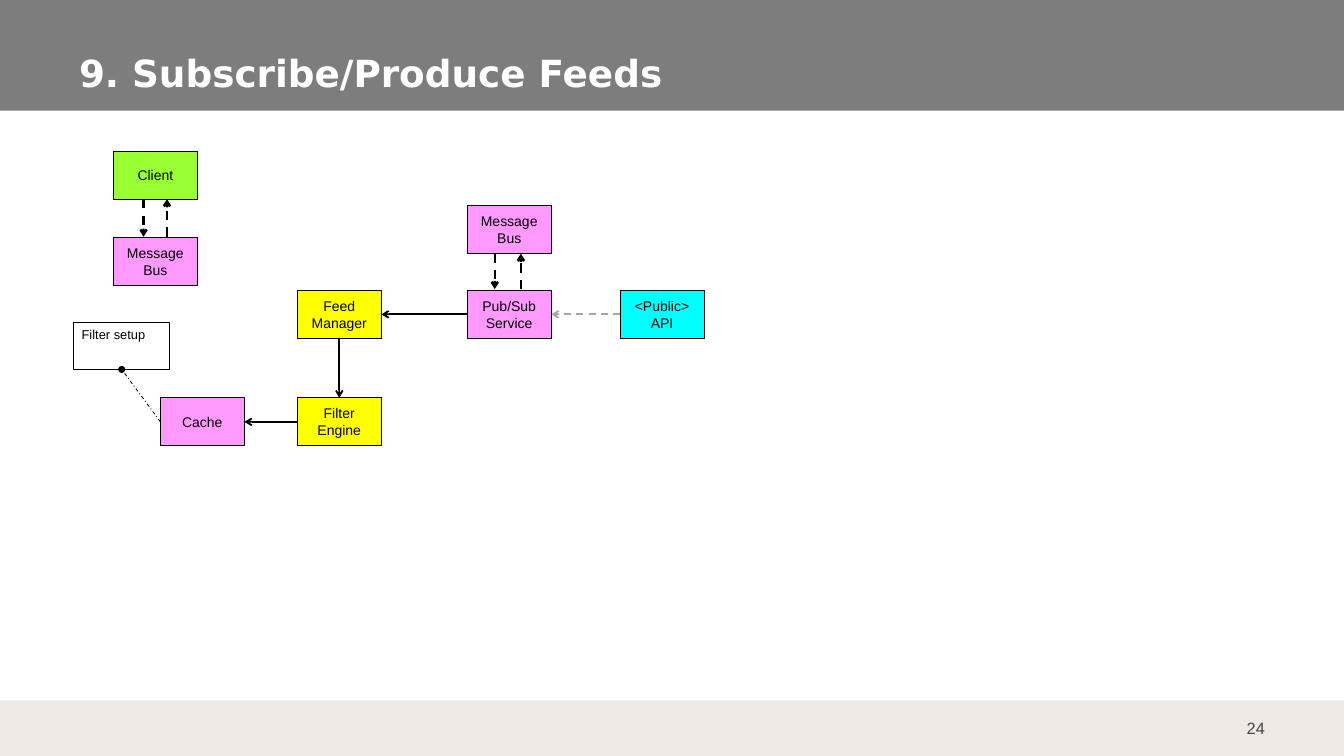
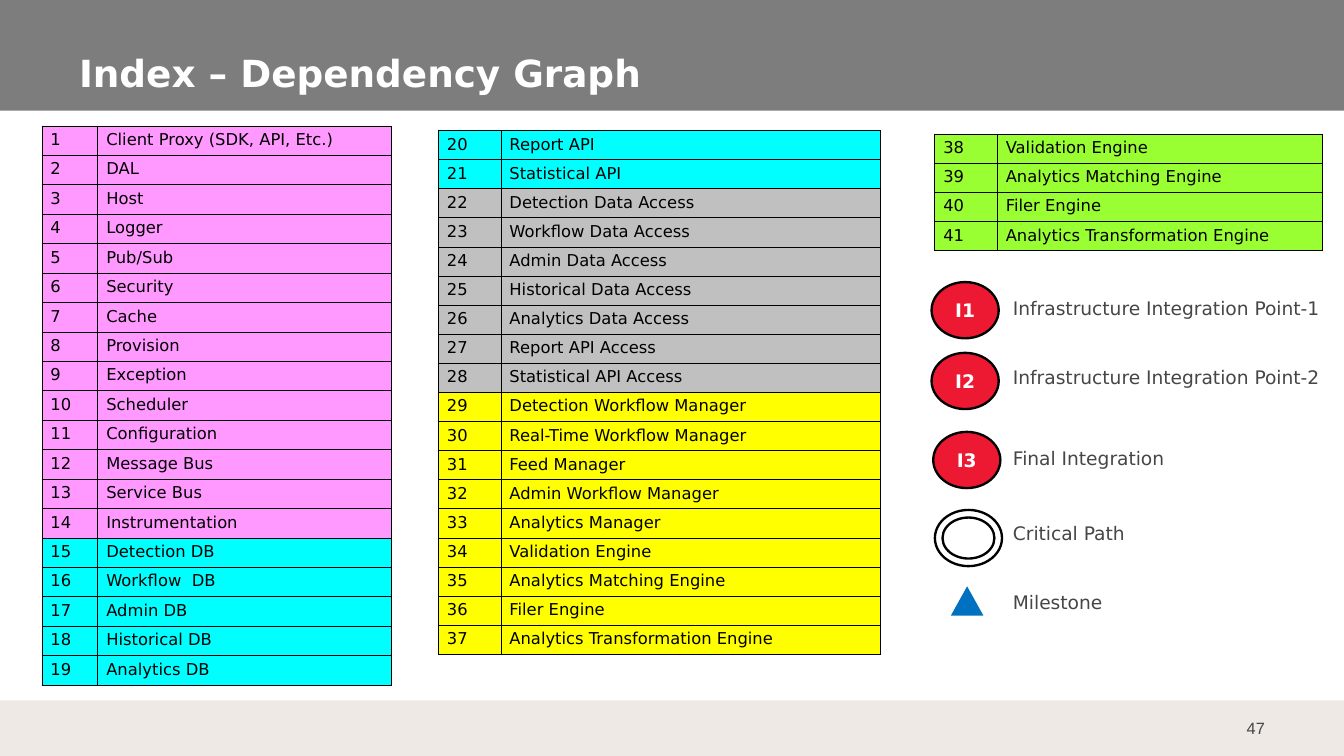
from itertools import count

from lxml import etree
from pptx import Presentation
from pptx.dml.color import RGBColor
from pptx.enum import dml, shapes, text
from pptx.oxml import ns
from pptx.util import Cm, Pt

BLACK = RGBColor(0x00, 0x00, 0x00)
WHITE = RGBColor(0xFF, 0xFF, 0xFF)
BAND_GREY = RGBColor(0x7D, 0x7D, 0x7D)
FOOTER_BEIGE = RGBColor(0xEF, 0xE9, 0xE5)
TEXT_GREY = RGBColor(0x46, 0x46, 0x46)
LINK_GREY = RGBColor(0xA6, 0xA6, 0xA6)
SILVER = RGBColor(0xC0, 0xC0, 0xC0)
YELLOW = RGBColor(0xFF, 0xFF, 0x00)
PINK = RGBColor(0xFF, 0x99, 0xFF)
CYAN = RGBColor(0x00, 0xFF, 0xFF)
GREEN = RGBColor(0x99, 0xFF, 0x33)
RED = RGBColor(0xED, 0x19, 0x33)
BLUE = RGBColor(0x00, 0x70, 0xC0)

SANS = "DejaVu Sans"
ARIAL = "Arial"
LEFT, CENTER, RIGHT = text.PP_ALIGN.LEFT, text.PP_ALIGN.CENTER, text.PP_ALIGN.RIGHT
TOP, MIDDLE, BOTTOM = text.MSO_ANCHOR.TOP, text.MSO_ANCHOR.MIDDLE, text.MSO_ANCHOR.BOTTOM
RECT = shapes.MSO_SHAPE.RECTANGLE
OVAL = shapes.MSO_SHAPE.OVAL
TRIANGLE = shapes.MSO_SHAPE.ISOSCELES_TRIANGLE
DASH, DASH_DOT = dml.MSO_LINE.DASH, dml.MSO_LINE.DASH_DOT


def write(frame, lines, size, colour, font=SANS, bold=False, align=LEFT, anchor=TOP, wrap=True):
    """Fill a text frame with one paragraph per line."""
    frame.word_wrap = wrap
    frame.vertical_anchor = anchor
    for number, line in enumerate(lines.split("\n")):
        paragraph = frame.add_paragraph() if number else frame.paragraphs[0]
        paragraph.alignment = align
        run = paragraph.add_run()
        run.text = line
        run.font.size = Pt(size)
        run.font.name = font
        run.font.bold = bold
        run.font.color.rgb = colour


def add_figure(slide, preset, left, top, width, height, fill=None, line_width=0):
    """Add a flat preset shape, measured in centimetres, with an optional black outline."""
    figure = slide.shapes.add_shape(preset, Cm(left), Cm(top), Cm(width), Cm(height))
    figure.shadow.inherit = False
    if fill is None:
        figure.fill.background()
    else:
        figure.fill.solid()
        figure.fill.fore_color.rgb = fill
    if line_width:
        figure.line.color.rgb = BLACK
        figure.line.width = Pt(line_width)
    else:
        figure.line.fill.background()
    return figure


deck = Presentation()
deck.slide_width, deck.slide_height = Cm(40.64), Cm(22.86)

# Shared frame: title band, footer band, page number, title
pages = []
for title, page_number in [("9. Subscribe/Produce Feeds", "24"), ("Index – Dependency Graph", "47")]:
    page = deck.slides.add_slide(deck.slide_layouts[6])
    add_figure(page, RECT, 0, 0, 40.64, 3.35, BAND_GREY)
    add_figure(page, RECT, 0, 21.18, 40.64, 1.68, FOOTER_BEIGE)
    number_area = page.shapes.add_textbox(Cm(36.58), Cm(21.39), Cm(2.03), Cm(1.22)).text_frame
    title_area = page.shapes.add_textbox(Cm(2.03), Cm(1.17), Cm(36.09), Cm(1.88)).text_frame
    for area in (number_area, title_area):
        area.margin_left = area.margin_right = Cm(0.36)
        area.margin_top = area.margin_bottom = Cm(0.18)
    write(number_area, page_number, 14, TEXT_GREY, ARIAL, align=RIGHT, anchor=MIDDLE)
    write(title_area, title, 32, WHITE, bold=True, anchor=BOTTOM)
    pages.append(page)
feeds, index = pages

# Feed diagram: components
components = {}
for key, label, left, top, fill in [
    ("feed", "Feed\nManager", 8.99, 8.78, YELLOW),
    ("pubsub", "Pub/Sub\nService", 14.13, 8.78, PINK),
    ("api", "<Public>\nAPI", 18.75, 8.78, CYAN),
    ("filter", "Filter\nEngine", 8.99, 12.03, YELLOW),
    ("cache", "Cache", 4.85, 12.03, PINK),
    ("client", "Client", 3.43, 4.57, GREEN),
    ("client bus", "Message\nBus", 3.43, 7.19, PINK),
    ("service bus", "Message\nBus", 14.13, 6.22, PINK),
]:
    component = add_figure(feeds, RECT, left, top, 2.54, 1.45, fill, 0.75)
    write(component.text_frame, label, 12, BLACK, ARIAL, align=CENTER, anchor=MIDDLE, wrap=False)
    components[key] = component

setup = add_figure(feeds, RECT, 2.22, 9.75, 2.92, 1.42, WHITE, 1)
write(setup.text_frame, "Filter setup", 11, BLACK, ARIAL)
components["setup"] = setup

# Feed diagram: links, each as connector, colour, width, dash, end mark
links = []
for start, start_side, end, end_side, colour, width, dash, mark in [
    ("feed", 2, "filter", 0, BLACK, 1.5, None, "arrow"),
    ("filter", 1, "cache", 3, BLACK, 1.5, None, "arrow"),
    ("pubsub", 1, "feed", 3, BLACK, 1.5, None, "arrow"),
    ("api", 1, "pubsub", 3, LINK_GREY, 1.5, DASH, "arrow"),
    ("cache", 1, "setup", 2, BLACK, 0.75, DASH_DOT, "oval"),
]:
    link = feeds.shapes.add_connector(shapes.MSO_CONNECTOR.STRAIGHT, 0, 0, 0, 0)
    link.begin_connect(components[start], start_side)
    link.end_connect(components[end], end_side)
    links.append((link, colour, width, dash, mark))

for x, start_y, end_y in [
    (4.34, 6.02, 7.16), (5.05, 7.16, 6.02), (14.96, 7.67, 8.74), (15.75, 8.74, 7.67),
]:
    link = feeds.shapes.add_connector(
        shapes.MSO_CONNECTOR.STRAIGHT, Cm(x), Cm(start_y), Cm(x), Cm(end_y))
    links.append((link, BLACK, 2, DASH, "arrow"))

for link, colour, width, dash, mark in links:
    link.line.color.rgb = colour
    link.line.width = Pt(width)
    if dash:
        link.line.dash_style = dash
    properties = link.element.spPr
    etree.SubElement(properties.find(ns.qn("a:ln")), ns.qn("a:tailEnd"), type=mark)
    etree.SubElement(properties, ns.qn("a:effectLst"))

# Index: numbered tables, each made of coloured groups
entry_numbers = count(1)
for left, top, widths, row_height, groups in [
    (1.27, 3.81, (1.69, 8.89), 0.89, [
        (PINK, ["Client Proxy (SDK, API, Etc.)", "DAL", "Host", "Logger", "Pub/Sub", "Security",
                "Cache", "Provision", "Exception", "Scheduler", "Configuration", "Message Bus",
                "Service Bus", "Instrumentation"]),
        (CYAN, ["Detection DB", "Workflow  DB", "Admin DB", "Historical DB", "Analytics DB"]),
    ]),
    (13.26, 3.95, (1.89, 11.48), 0.88, [
        (CYAN, ["Report API", "Statistical API"]),
        (SILVER, ["Detection Data Access", "Workflow Data Access", "Admin Data Access",
                  "Historical Data Access", "Analytics Data Access", "Report API Access",
                  "Statistical API Access"]),
        (YELLOW, ["Detection Workflow Manager", "Real-Time Workflow Manager", "Feed Manager",
                  "Admin Workflow Manager", "Analytics Manager", "Validation Engine",
                  "Analytics Matching Engine", "Filer Engine",
                  "Analytics Transformation Engine"]),
    ]),
    (28.27, 4.06, (1.89, 9.83), 0.88, [
        (GREEN, ["Validation Engine", "Analytics Matching Engine", "Filer Engine",
                 "Analytics Transformation Engine"]),
    ]),
]:
    entries = [(fill, entry) for fill, names in groups for entry in names]
    listing = index.shapes.add_table(
        len(entries), 2, Cm(left), Cm(top), Cm(sum(widths)), Cm(row_height * len(entries))).table
    listing.first_row = listing.horz_banding = False
    for column, width in zip(listing.columns, widths):
        column.width = Cm(width)
    for row, (fill, entry) in zip(listing.rows, entries):
        row.height = Cm(row_height)
        for cell, content in zip(row.cells, (str(next(entry_numbers)), entry)):
            write(cell.text_frame, content, 14, BLACK)
            cell_properties = cell._tc.get_or_add_tcPr()
            for side in ("a:lnL", "a:lnR", "a:lnT", "a:lnB"):
                border = etree.SubElement(cell_properties, ns.qn(side), w=str(Pt(1)))
                paint = etree.SubElement(border, ns.qn("a:solidFill"))
                etree.SubElement(paint, ns.qn("a:srgbClr"), val=str(BLACK))
            cell.fill.solid()
            cell.fill.fore_color.rgb = fill

# Index: legend symbols and their labels
for code, left, top in [("I1", 28.17, 8.53), ("I2", 28.17, 10.67), ("I3", 28.22, 13.06)]:
    point = add_figure(index, OVAL, left, top, 2.03, 1.7, RED, 2)
    write(point.text_frame, code, 16, WHITE, bold=True, align=CENTER, anchor=MIDDLE)
add_figure(index, OVAL, 28.27, 15.42, 2.03, 1.7, line_width=2)
add_figure(index, OVAL, 28.5, 15.65, 1.57, 1.24, line_width=2)
add_figure(index, TRIANGLE, 28.75, 17.73, 0.99, 0.89, BLUE)

for meaning, top, width in [
    ("Infrastructure Integration Point-1", 8.84, 10.15),
    ("Infrastructure Integration Point-2", 10.95, 10.15),
    ("Final Integration", 13.39, 5.4),
    ("Critical Path", 15.67, 4.1),
    ("Milestone", 17.75, 3.5),
]:
    caption = index.shapes.add_textbox(Cm(30.38), Cm(top), Cm(width), Cm(0.94)).text_frame
    write(caption, meaning, 16, TEXT_GREY, wrap=False)

deck.save("out.pptx")
